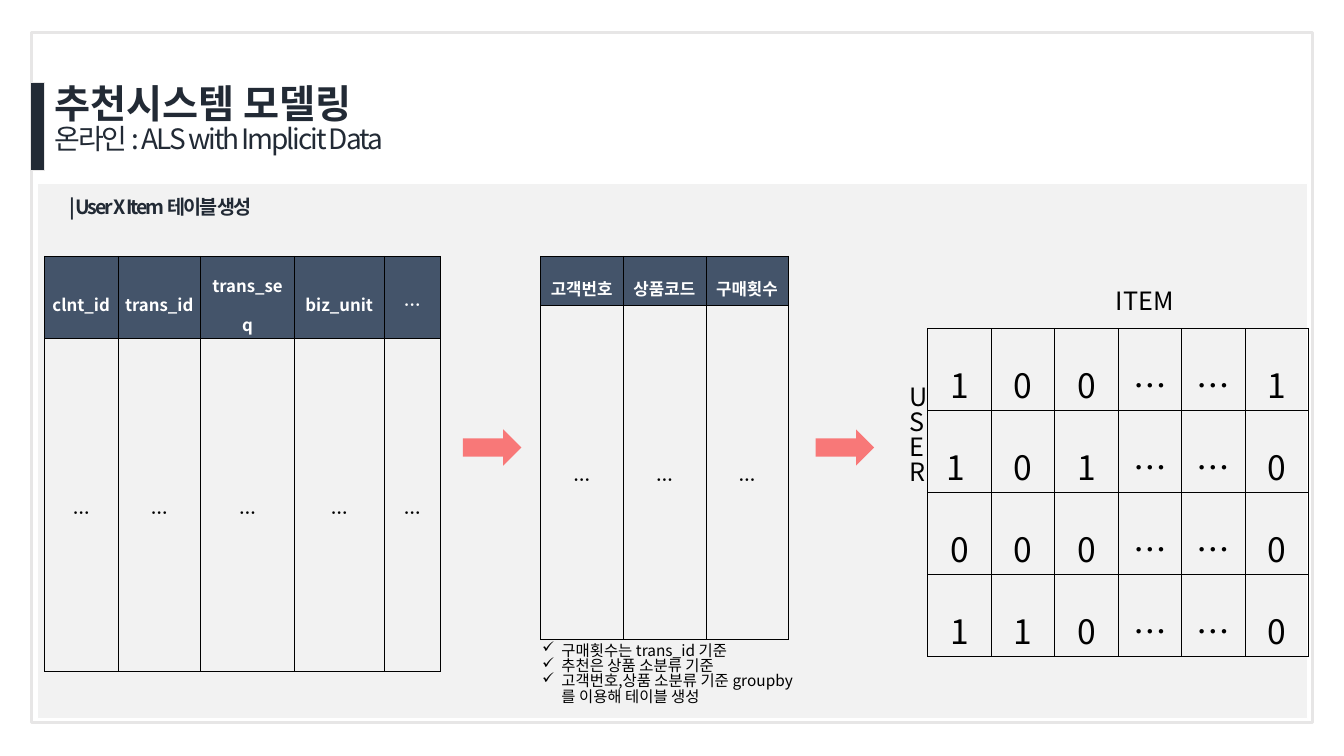
from dataclasses import dataclass

from lxml.etree import SubElement
from pptx import Presentation
from pptx.dml.color import RGBColor
from pptx.enum.shapes import MSO_SHAPE
from pptx.enum.text import MSO_ANCHOR, MSO_AUTO_SIZE, PP_ALIGN
from pptx.oxml.ns import qn
from pptx.util import Inches, Pt


@dataclass(frozen=True)
class Theme:
    font: str = "Noto Sans CJK KR"
    ink: str = "222A35"
    black: str = "000000"
    white: str = "FFFFFF"
    head: str = "44546A"
    panel: str = "F2F2F2"
    rule: str = "E7E6E6"
    arrow: str = "FF0000"
    title: int = 28
    sub: int = 20
    label: int = 18
    lead: int = 14
    note: int = 11
    cell: int = 12
    matrix: int = 24
    tight: float = -1.5
    text_gap: float = 0.83
    cell_gap: float = 1.6
    border: float = 0.28


class Board:
    def __init__(self, slide, theme):
        self.slide = slide
        self.theme = theme

    def run(self, para, text, size, color, bold=False, track=0):
        run = para.add_run()
        run.text = text
        font = run.font
        font.size, font.bold = Pt(size), bold
        font.color.rgb = RGBColor.from_string(color)
        font.name = self.theme.font
        props = run._r.get_or_add_rPr()
        SubElement(props, qn("a:ea"), typeface=self.theme.font)
        if track:
            props.set("spc", str(round(track * 100)))

    def fill_text(self, frame, lines, mark=None):
        """Fill a frame; each line holds the arguments of one run."""
        for num, line in enumerate(lines):
            para = frame.add_paragraph() if num else frame.paragraphs[0]
            para.alignment = PP_ALIGN.LEFT
            para.line_spacing = self.theme.text_gap
            para.space_before = Pt(0)
            if mark:
                props = para._p.get_or_add_pPr()
                props.set("marL", str(Inches(0.19)))
                props.set("indent", str(-Inches(0.19)))
                SubElement(props, qn("a:buChar"), char=mark)
            self.run(para, *line)

    def title(self, box, lines):
        shape = self.slide.shapes.title
        shape.left, shape.top, shape.width, shape.height = map(Inches, box)
        frame = shape.text_frame
        frame.auto_size = MSO_AUTO_SIZE.NONE
        frame.vertical_anchor = MSO_ANCHOR.TOP
        self.fill_text(frame, lines)

    def text(self, box, lines, mark=None, wrap=True):
        frame = self.slide.shapes.add_textbox(*map(Inches, box)).text_frame
        frame.word_wrap = wrap
        self.fill_text(frame, lines, mark)

    def shape(self, kind, box, fill=None, line=None, width=1, alpha=None):
        shape = self.slide.shapes.add_shape(kind, *map(Inches, box))
        shape.shadow.inherit = False
        if fill:
            shape.fill.solid()
            shape.fill.fore_color.rgb = RGBColor.from_string(fill)
        else:
            shape.fill.background()
        if line:
            shape.line.color.rgb = RGBColor.from_string(line)
            shape.line.width = Pt(width)
        else:
            shape.line.fill.background()
        if alpha:
            tone = shape._element.spPr.find(qn("a:solidFill"))[0]
            SubElement(tone, qn("a:alpha"), val=str(alpha * 1000))
        return shape

    def edge(self, cell):
        props = cell._tc.get_or_add_tcPr()
        for side in ("lnL", "lnR", "lnT", "lnB"):
            line = SubElement(props, qn(f"a:{side}"), w=str(Pt(self.theme.border)))
            fill = SubElement(line, qn("a:solidFill"))
            SubElement(fill, qn("a:srgbClr"), val=self.theme.black)

    def table(self, left, top, cols, rows, data, size, head=True):
        box = map(Inches, (left, top, sum(cols), sum(rows)))
        grid = self.slide.shapes.add_table(len(rows), len(cols), *box).table
        grid.first_row = head
        grid.horz_banding = False
        for col, width in zip(grid.columns, cols):
            col.width = Inches(width)
        for num, (row, height, words) in enumerate(zip(grid.rows, rows, data)):
            row.height = Inches(height)
            top_row = head and num == 0
            for cell, word in zip(row.cells, words):
                self.cell(cell, word, size, top_row)

    def cell(self, cell, word, size, head):
        theme = self.theme
        self.edge(cell)
        cell.margin_left = cell.margin_right = Inches(0.07)
        cell.margin_top = cell.margin_bottom = Inches(0.02)
        cell.vertical_anchor = MSO_ANCHOR.MIDDLE
        if head:
            cell.fill.solid()
            cell.fill.fore_color.rgb = RGBColor.from_string(theme.head)
        else:
            cell.fill.background()
        para = cell.text_frame.paragraphs[0]
        para.alignment = PP_ALIGN.CENTER
        para.line_spacing = theme.cell_gap
        bold = size == theme.cell
        self.run(para, word, size, theme.white if head else theme.black, bold)


def main():
    deck = Presentation()
    deck.slide_width, deck.slide_height = Inches(13.33), Inches(7.5)
    theme = Theme()
    board = Board(deck.slides.add_slide(deck.slide_layouts[5]), theme)

    board.shape(MSO_SHAPE.RECTANGLE, (0.31, 0.32, 12.71, 6.85), None, theme.rule, 2.25)
    panel = board.shape(MSO_SHAPE.ROUNDED_RECTANGLE, (0.37, 1.82, 12.6, 5.31),
                        theme.panel, theme.white)
    panel.adjustments[0] = 0

    names = ["clnt_id", "trans_id", "trans_seq", "biz_unit", "…"]
    board.table(0.44, 2.54, [0.73, 0.82, 0.93, 0.89, 0.56], [0.48, 3.31],
                [names, ["…"] * 5], theme.cell)
    board.table(5.36, 2.54, [0.82] * 3, [0.49, 3.31],
                [["고객번호", "상품코드", "구매횟수"], ["…"] * 3], theme.cell)
    matrix = [
        ["1", "0", "0", "…", "…", "1"],
        ["1 ", "0", "1", "…", "…", "0"],
        ["0", "0", "0", "…", "…", "0"],
        ["1", "1", "0", "…", "…", "0"],
    ]
    board.table(9.2, 3.26, [0.63] * 6, [0.52] * 4, matrix, theme.matrix, head=False)

    board.text((8.92, 3.78, 0.59, 1.31),
               [(mark, theme.label, theme.black) for mark in "USER"])
    board.text((10.97, 2.83, 0.9, 0.4), [("ITEM", theme.label, theme.black)])
    for left in (4.59, 8.09):
        board.shape(MSO_SHAPE.RIGHT_ARROW, (left, 4.26, 0.58, 0.36),
                    theme.arrow, alpha=50)

    notes = [
        "구매횟수는 trans_id 기준",
        "추천은 상품 소분류 기준",
        "고객번호,상품 소분류 기준 groupby 를 이용해 테이블 생성",
    ]
    board.text((5.28, 6.34, 2.8, 0.84),
               [(note, theme.note, theme.black) for note in notes], "✓")

    board.title((0.44, 0.82, 4.32, 0.91), [
        ("추천시스템 모델링", theme.title, theme.ink, True),
        ("온라인 : ALS with Implicit Data", theme.sub, theme.ink, False, theme.tight),
    ])
    board.shape(MSO_SHAPE.RECTANGLE, (0.3, 0.82, 0.14, 0.87), theme.ink, theme.rule)
    board.text((0.59, 1.92, 2.14, 0.34),
               [("| User X Item 테이블 생성", theme.lead, theme.ink, True, theme.tight)],
               wrap=False)
    deck.save("out.pptx")


if __name__ == "__main__":
    main()
